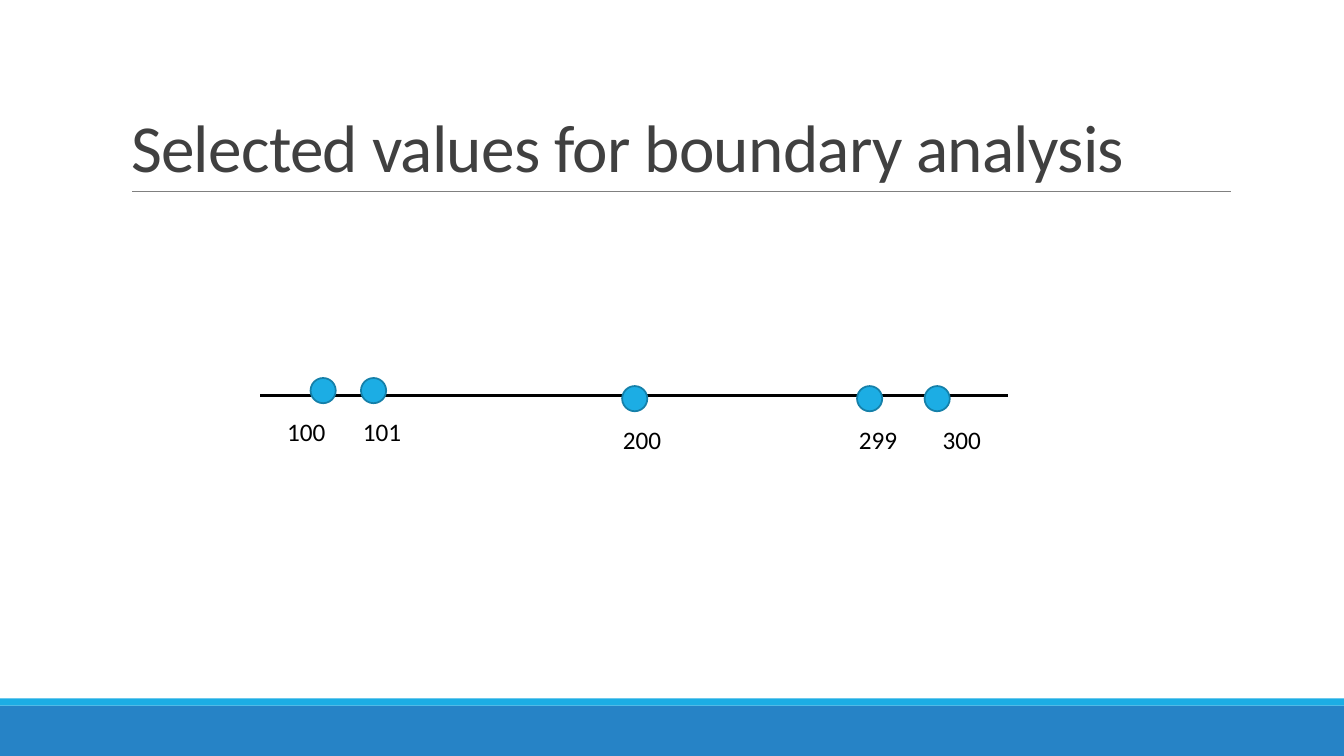
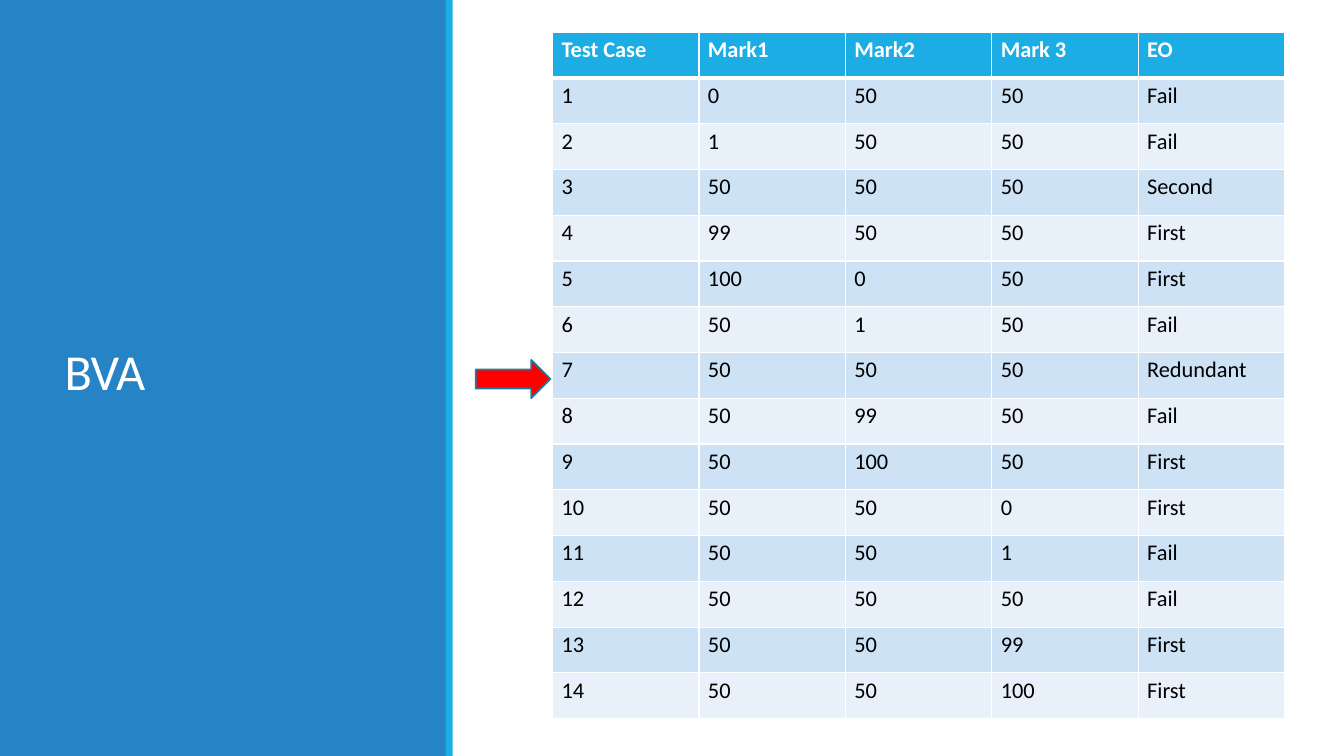
import pptx
import pptx.util
import pptx.dml.color
import pptx.enum.shapes
import pptx.enum.text
import pptx.oxml.ns
from lxml import etree

Inches, Pt = pptx.util.Inches, pptx.util.Pt
SHAPE = pptx.enum.shapes.MSO_SHAPE
ANCHOR = pptx.enum.text.MSO_ANCHOR
qn = pptx.oxml.ns.qn

WIDE, HIGH = 13.33, 7.5
FONT = "Calibri"
BLUE, SKY, EDGE = "2683C6", "1CADE4", "1580A9"
WHITE, BLACK, DARK, GRAY, RED = "FFFFFF", "000000", "404040", "808080", "FF0000"
STRIPES = "CDE3F5", "E8F1FA"

# label, dot offset, label offset, rise of the dot above the axis
POINTS = [
    ("100", 0.5, 0.17, 0.17),
    ("101", 1.0, 0.92, 0.17),
    ("200", 3.59, 3.5, 0.09),
    ("299", 5.92, 5.84, 0.09),
    ("300", 6.59, 6.67, 0.09),
]

HEADS = ["Test Case", "Mark1", "Mark2", "Mark 3", "EO"]
CASES = [
    (0, 50, 50, "Fail"),
    (1, 50, 50, "Fail"),
    (50, 50, 50, "Second"),
    (99, 50, 50, "First"),
    (100, 0, 50, "First"),
    (50, 1, 50, "Fail"),
    (50, 50, 50, "Redundant"),
    (50, 99, 50, "Fail"),
    (50, 100, 50, "First"),
    (50, 50, 0, "First"),
    (50, 50, 1, "Fail"),
    (50, 50, 50, "Fail"),
    (50, 50, 99, "First"),
    (50, 50, 100, "First"),
]


def color(code):
    return pptx.dml.color.RGBColor.from_string(code)


def paint(part, code):
    part.fill.solid()
    part.fill.fore_color.rgb = color(code)


def style(para, size, code, bold=False):
    font = para.font
    font.name, font.size, font.bold = FONT, Pt(size), bold
    font.color.rgb = color(code)


def draw(slide, kind, box, fill, edge=None):
    shape = slide.shapes.add_shape(kind, *map(Inches, box))
    shape.shadow.inherit = False
    paint(shape, fill)
    if edge:
        shape.line.color.rgb = color(edge)
        shape.line.width = Pt(1.25)
    else:
        shape.line.fill.background()


def rule(slide, left, top, width, code, weight):
    line = slide.shapes.add_connector(
        pptx.enum.shapes.MSO_CONNECTOR.STRAIGHT,
        Inches(left), Inches(top), Inches(left + width), Inches(top))
    line.line.color.rgb = color(code)
    line.line.width = Pt(weight)
    etree.SubElement(line.element.spPr, qn("a:effectLst"))


def head(slide, text, box, size, code, anchor):
    """Format the title and bring it in front of the bands."""
    title = slide.shapes.title
    title.left, title.top, title.width, title.height = map(Inches, box)
    frame = title.text_frame
    frame.text = text
    frame.word_wrap = True
    frame.vertical_anchor = anchor
    para = frame.paragraphs[0]
    para.alignment = pptx.enum.text.PP_ALIGN.LEFT
    para.line_spacing = 0.85
    style(para, size, code)
    para.runs[0].font._element.set("spc", "-50")
    slide.shapes._spTree.append(title.element)


def label(slide, text, left, top):
    box = slide.shapes.add_textbox(
        Inches(left), Inches(top), Inches(0.75), Inches(0.4))
    box.text_frame.word_wrap = True
    box.text_frame.text = text
    style(box.text_frame.paragraphs[0], 18, BLACK)


def axis(slide, left, top, width):
    """Number line with the chosen values marked on it."""
    rule(slide, left, top, width, BLACK, 2)
    for text, dot, shift, rise in POINTS:
        high = top - rise
        draw(slide, SHAPE.OVAL, (left + dot, high, 0.25, 0.25), SKY, EDGE)
        label(slide, text, left + shift, high + 0.33)


def border(cell, top, bottom):
    props = cell._tc.get_or_add_tcPr()
    sides = [("L", 1), ("R", 1), ("T", top), ("B", bottom)]
    for spot, (side, weight) in enumerate(sides):
        line = etree.Element(qn("a:ln" + side), w=str(Pt(weight)))
        fill = etree.SubElement(line, qn("a:solidFill"))
        etree.SubElement(fill, qn("a:srgbClr"), val=WHITE)
        props.insert(spot, line)


def grid(slide, left, top, width, height):
    """Table of numbered test cases."""
    rows = [HEADS] + [(num, *case) for num, case in enumerate(CASES, 1)]
    table = slide.shapes.add_table(
        len(rows), len(HEADS), *map(Inches, (left, top, width, height))).table
    for col in table.columns:
        col.width = Inches(width / len(HEADS))
    for i, row in enumerate(rows):
        table.rows[i].height = Inches(height / len(rows))
        for j, value in enumerate(row):
            cell = table.cell(i, j)
            cell.text = str(value)
            cell.margin_left = cell.margin_right = Inches(0.09)
            cell.margin_top = cell.margin_bottom = Inches(0.04)
            paint(cell, STRIPES[(i - 1) % 2] if i else SKY)
            style(cell.text_frame.paragraphs[0], 16,
                  BLACK if i else WHITE, bold=i == 0)
            border(cell, 3 if i == 1 else 1, 1 if i else 3)


def line_slide(slide):
    draw(slide, SHAPE.RECTANGLE, (0, 7, WIDE, 0.5), BLUE)
    draw(slide, SHAPE.RECTANGLE, (0, 6.93, WIDE, 0.07), SKY)
    rule(slide, 1.31, 1.9, 10.9, GRAY, 0.5)
    head(slide, "Selected values for boundary analysis",
         (1.2, 0.31, 11, 1.59), 48, DARK, ANCHOR.BOTTOM)
    axis(slide, 2.58, 3.92, 7.42)


def case_slide(slide):
    draw(slide, SHAPE.RECTANGLE, (0, 0, 4.43, HIGH), BLUE)
    draw(slide, SHAPE.RECTANGLE, (4.42, 0, 0.07, HIGH), SKY)
    head(slide, "BVA", (0.54, 0.57, 3.37, 6.31), 36, WHITE, ANCHOR.MIDDLE)
    grid(slide, 5.48, 0.32, 7.26, 6.81)
    draw(slide, SHAPE.RIGHT_ARROW, (4.72, 3.57, 0.74, 0.38), RED, EDGE)


def main():
    deck = pptx.Presentation()
    deck.slide_width, deck.slide_height = Inches(WIDE), Inches(HIGH)
    for build in (line_slide, case_slide):
        build(deck.slides.add_slide(deck.slide_layouts[5]))
    deck.save("out.pptx")


if __name__ == "__main__":
    main()
